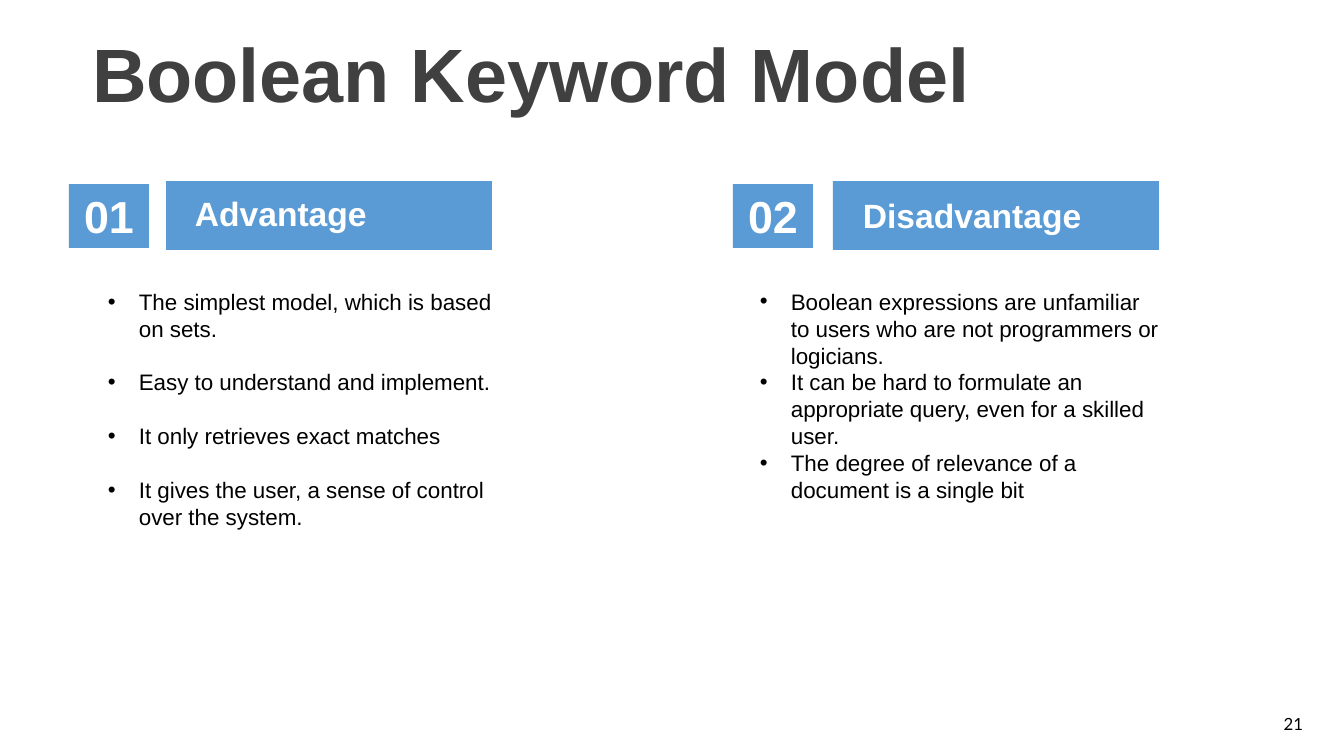
"""Build the Boolean Keyword Model slide with its advantages and disadvantages."""
from pptx import Presentation
from pptx import util as u
from pptx.dml.color import RGBColor
from pptx.enum import shapes, text
from pptx.oxml.ns import qn
from lxml import etree

TITLE = "Boolean Keyword Model"
PAGE_NUMBER = "21"
BLUE, WHITE, BLACK, GREY = "5B9BD5", "FFFFFF", "000000", "404040"
LINE_POINTS = 19.2
COLUMNS = [
    {
        "number": "01", "heading": "Advantage", "gap": LINE_POINTS,
        "badge": (69, 184, 80, 64), "bar": (166, 181, 326, 69),
        "label": (185, 188, 285, 50), "list": (98, 283, 409, 251),
        "points": [
            "The simplest model, which is based on sets.",
            "Easy to understand and implement.",
            "It only retrieves exact matches",
            "It gives the user, a sense of control over the system.",
        ],
    },
    {
        "number": "02", "heading": "Disadvantage", "gap": 0,
        "badge": (733, 184, 80, 64), "bar": (833, 181, 326, 69),
        "label": (853, 190, 285, 50), "list": (750, 283, 419, 225),
        "points": [
            "Boolean expressions are unfamiliar to users who are not programmers or logicians.",
            "It can be hard to formulate an appropriate query, even for a skilled user.",
            "The degree of relevance of a document is a single bit",
        ],
    },
]


def px(length):
    return u.Emu(round(length * 914400 / 100.8))


def color(value):
    return RGBColor.from_string(value)


def style(paragraph, size, value, bold=False, align=text.PP_ALIGN.LEFT, name="Arial"):
    paragraph.alignment = align
    font = paragraph.font
    font.name, font.size, font.bold = name, u.Pt(size), bold
    font.color.rgb = color(value)


def add_rectangle(slide, box):
    shape = slide.shapes.add_shape(shapes.MSO_SHAPE.RECTANGLE, *map(px, box))
    shape.shadow.inherit = False
    shape.fill.solid()
    shape.fill.fore_color.rgb = color(BLUE)
    shape.line.fill.background()
    return shape


def add_text(slide, box, content, *args, **kwargs):
    frame = slide.shapes.add_textbox(*map(px, box)).text_frame
    frame.word_wrap = True
    frame.text = content
    style(frame.paragraphs[0], *args, **kwargs)


def add_bullets(slide, box, points, gap):
    frame = slide.shapes.add_textbox(*map(px, box)).text_frame
    frame.word_wrap = True
    frame.text = "\n".join(points)
    for index, paragraph in enumerate(frame.paragraphs):
        properties = paragraph._p.get_or_add_pPr()
        properties.set("marL", str(px(31)))
        properties.set("indent", str(-px(31)))
        etree.SubElement(properties, qn("a:buFont"), typeface="Arial")
        etree.SubElement(properties, qn("a:buChar"), char="•")
        style(paragraph, 16, BLACK)
        paragraph.line_spacing = u.Pt(LINE_POINTS)
        if index:
            paragraph.space_before = u.Pt(gap)


def add_column(slide, column):
    add_rectangle(slide, column["bar"])
    badge = add_rectangle(slide, column["badge"])
    badge.text_frame.text = column["number"]
    style(badge.text_frame.paragraphs[0], 32, WHITE, True, text.PP_ALIGN.CENTER)
    add_text(slide, column["label"], column["heading"], 24, WHITE, True)
    add_bullets(slide, column["list"], column["points"], column["gap"])


def main():
    presentation = Presentation()
    presentation.slide_width, presentation.slide_height = px(1344), px(756)
    slide = presentation.slides.add_slide(presentation.slide_layouts[5])
    title = slide.shapes.title
    title.left, title.top, title.width, title.height = map(px, (60, 28, 942, 88))
    title.text_frame.text = TITLE
    title.text_frame.auto_size = text.MSO_AUTO_SIZE.NONE
    title.text_frame.vertical_anchor = text.MSO_ANCHOR.MIDDLE
    style(title.text_frame.paragraphs[0], 54, GREY, True, text.PP_ALIGN.CENTER)
    for column in COLUMNS:
        add_column(slide, column)
    add_text(slide, (1260, 709, 67, 30), PAGE_NUMBER, 12, BLACK,
             align=text.PP_ALIGN.CENTER, name="Lato")
    presentation.save("out.pptx")


if __name__ == "__main__":
    main()
